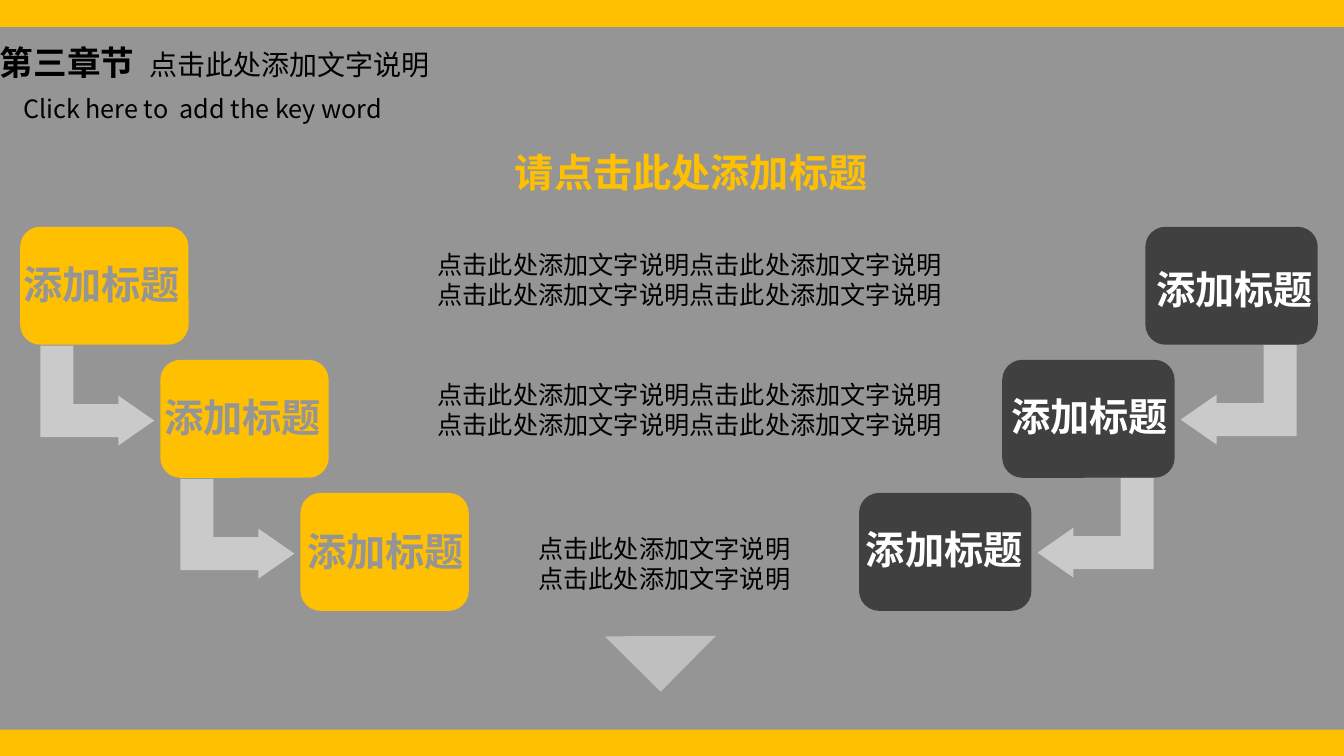
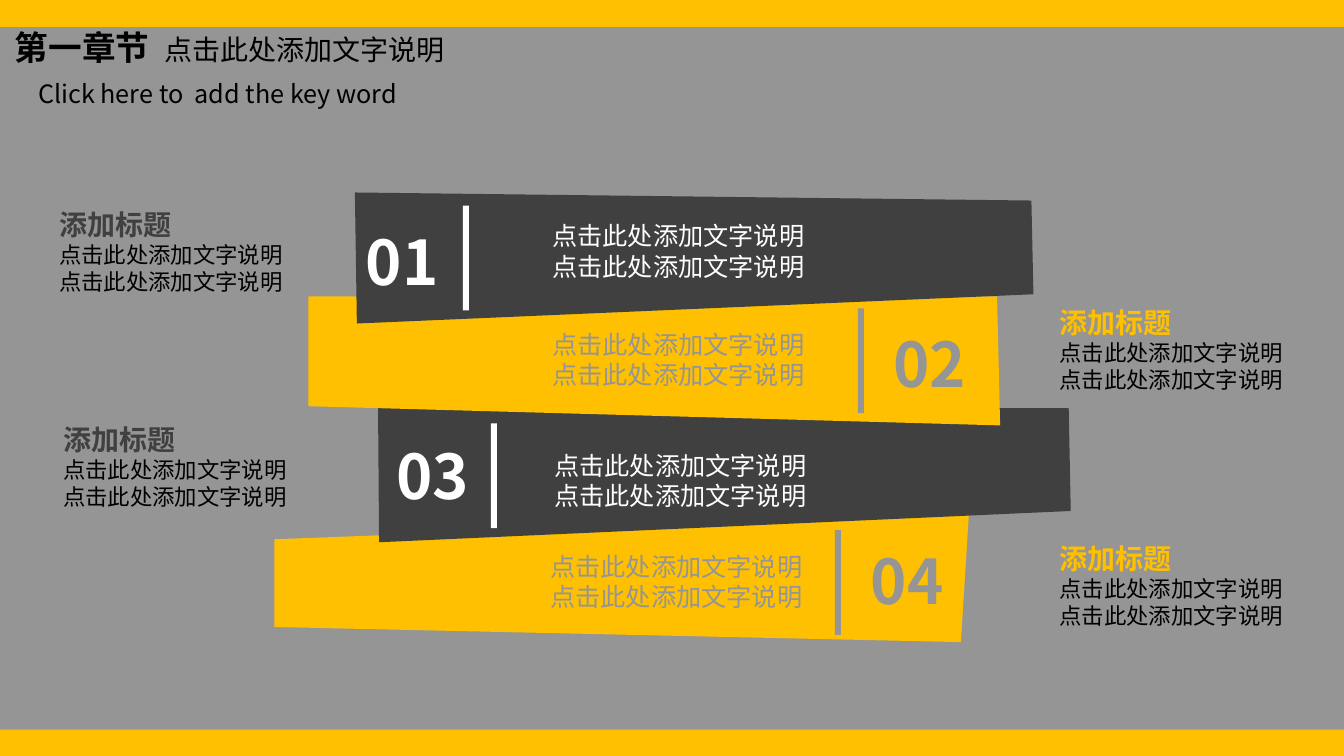
import pptx
import pptx.util
import pptx.dml.color
import pptx.enum.shapes
import pptx.enum.text
import pptx.oxml
import pptx.oxml.ns

PX = 9144  # EMU per px, 100 px to the inch
FONT = "Noto Sans CJK SC"
COLORS = {
    "yellow": "FEC000",
    "gray": "959595",
    "dark": "404040",
    "silver": "BFBFBF",
    "white": "FFFFFF",
    "black": "000000",
}
SHAPES = pptx.enum.shapes.MSO_SHAPE
ALIGN = pptx.enum.text.PP_ALIGN
BODY = "点击此处添加文字说明"
HEADING = "添加标题"


def rgb(name):
    return pptx.dml.color.RGBColor.from_string(COLORS[name])


def sub(parent, tag, **attrs):
    child = parent.makeelement(pptx.oxml.ns.qn(tag), attrs)
    parent.append(child)
    return child


def add_run(p, text, size=18, color="black", bold=False):
    r = p.add_run()
    r.text = text
    r.font.size = pptx.util.Pt(size)
    r.font.bold = bold
    r.font.name = FONT
    r.font.color.rgb = rgb(color)
    sub(r.font._element, "a:ea", typeface=FONT)


class Deck:
    def __init__(self):
        self.prs = pptx.Presentation()
        self.prs.slide_width = 1333 * PX
        self.prs.slide_height = 750 * PX
        self.s = None

    def slide(self):
        """Start a slide: a gray panel between two yellow bands."""
        self.s = self.prs.slides.add_slide(self.prs.slide_layouts[6])
        fill = self.s.background.fill
        fill.solid()
        fill.fore_color.rgb = rgb("yellow")
        self.shape(SHAPES.RECTANGLE, 0, 27, 1333, 697, "gray")

    def paint(self, sp, color, alpha=100):
        sp.shadow.inherit = False
        sp.line.fill.background()
        sp.fill.solid()
        sp.fill.fore_color.rgb = rgb(color)
        if alpha < 100:
            clr = sp._element.spPr.find(".//" + pptx.oxml.ns.qn("a:srgbClr"))
            sub(clr, "a:alpha", val=str(alpha * 1000))

    def shape(self, kind, x, y, w, h, color, alpha=100, adj=(), rot=0):
        sp = self.s.shapes.add_shape(kind, x * PX, y * PX, w * PX, h * PX)
        self.paint(sp, color, alpha)
        for i, value in enumerate(adj):
            sp.adjustments[i] = value
        sp.rotation = rot
        return sp

    def polygon(self, points, color):
        builder = self.s.shapes.build_freeform(*points[0], scale=PX)
        builder.add_line_segments(points[1:])
        self.paint(builder.convert_to_shape(), color)

    def text(self, x, y, w, h, *lines, align=ALIGN.LEFT, **style):
        """Each line is a string, or a list of (text, own style) runs."""
        sp = self.s.shapes.add_textbox(x * PX, y * PX, w * PX, h * PX)
        tf = sp.text_frame
        tf.word_wrap = True
        for i, line in enumerate(lines):
            p = tf.add_paragraph() if i else tf.paragraphs[0]
            p.alignment = align
            runs = [(line, {})] if isinstance(line, str) else line
            for text, own in runs:
                add_run(p, text, **{**style, **own})
        return sp

    def title(self, x, y, chapter):
        sp = self.text(x, y, 451, 50, [
            (chapter + "\t", {"size": 24, "bold": True}),
            (BODY, {"size": 20})])
        tabs = sub(sp.text_frame.paragraphs[0]._p.get_or_add_pPr(), "a:tabLst")
        sub(tabs, "a:tab", pos=str(148 * PX), algn="l")
        self.text(x + 23, y + 51, 405, 40, "Click here to  add the key word")

    def stairs(self, x, dx, width, arrow_x, arrow_h, color, text_color, labels):
        """Three boxes stepping down by dx, joined by bent arrows."""
        for i, (label_x, label_y) in enumerate(labels):
            if i < len(labels) - 1:
                sp = self.shape(SHAPES.BENT_UP_ARROW, arrow_x + i * dx,
                                336 + i * 132 - (arrow_h - 113), 99, arrow_h,
                                "white", alpha=50, adj=(0.33, 0.25, 0.36),
                                rot=90 if dx > 0 else 270)
                if dx < 0:
                    sp._element.spPr.xfrm.set("flipH", "1")
            self.shape(SHAPES.ROUNDED_RECTANGLE, x + i * dx, 225 + i * 132,
                       width, 117, color, adj=(0.17,))
            self.text(label_x, label_y, 181, 57, HEADING,
                      size=28, color=text_color, bold=True)


def steps_slide(d):
    d.slide()
    d.stairs(20, 139, 167, 47, 113, "yellow", "gray",
             [(13, 253), (153, 385), (295, 518)])
    d.stairs(1136, -142, 171, 1179, 115, "dark", "white",
             [(1137, 258), (993, 384), (849, 516)])
    for y in (242, 371):
        d.text(424, y, 522, 71, BODY * 2, BODY * 2)
    d.text(524, 524, 273, 71, BODY, BODY)
    d.shape(SHAPES.RIGHT_TRIANGLE, 616, 592, 78, 78, "silver", rot=314.7)
    d.text(499, 142, 373, 57, "请点击此处添加标题",
           align=ALIGN.CENTER, size=28, color="yellow", bold=True)
    d.title(-10, 37, "第三章节")


def ribbons_slide(d):
    d.slide()
    # number, outline, bar, number place, body place, caption place
    ribbons = [
        ("01", [(352, 191), (1023, 199), (1025, 292), (354, 321)],
         (459, 204), (353, 217), (538, 214), (49, 201)),
        ("02", [(306, 294), (989, 294), (992, 422), (306, 403)],
         (851, 306), (876, 318), (538, 322), (1041, 298)),
        ("03", [(375, 405), (1060, 405), (1062, 507), (376, 538)],
         (487, 420), (383, 430), (540, 442), (53, 414)),
        ("04", [(272, 535), (961, 509), (953, 637), (272, 622)],
         (828, 526), (854, 534), (536, 542), (1041, 532)),
    ]
    schemes = [("dark", "white"), ("yellow", "gray")]
    for i, ribbon in reversed(list(enumerate(ribbons))):
        d.polygon(ribbon[1], schemes[i % 2][0])
    for i, (number, _, bar, num, body, caption) in enumerate(ribbons):
        back, front = schemes[i % 2]
        d.shape(SHAPES.RECTANGLE, *bar, 6, 104, front)
        d.text(*num, 97, 84, number, size=44, color=front, bold=True)
        d.text(*body, 273, 71, BODY, BODY, color=front)
        d.text(*caption, 255, 98,
               [(HEADING, {"size": 20, "color": back, "bold": True})],
               BODY, BODY, size=16)
    d.title(5, 22, "第一章节")


def main():
    d = Deck()
    steps_slide(d)
    ribbons_slide(d)
    d.prs.save("out.pptx")


if __name__ == "__main__":
    main()
